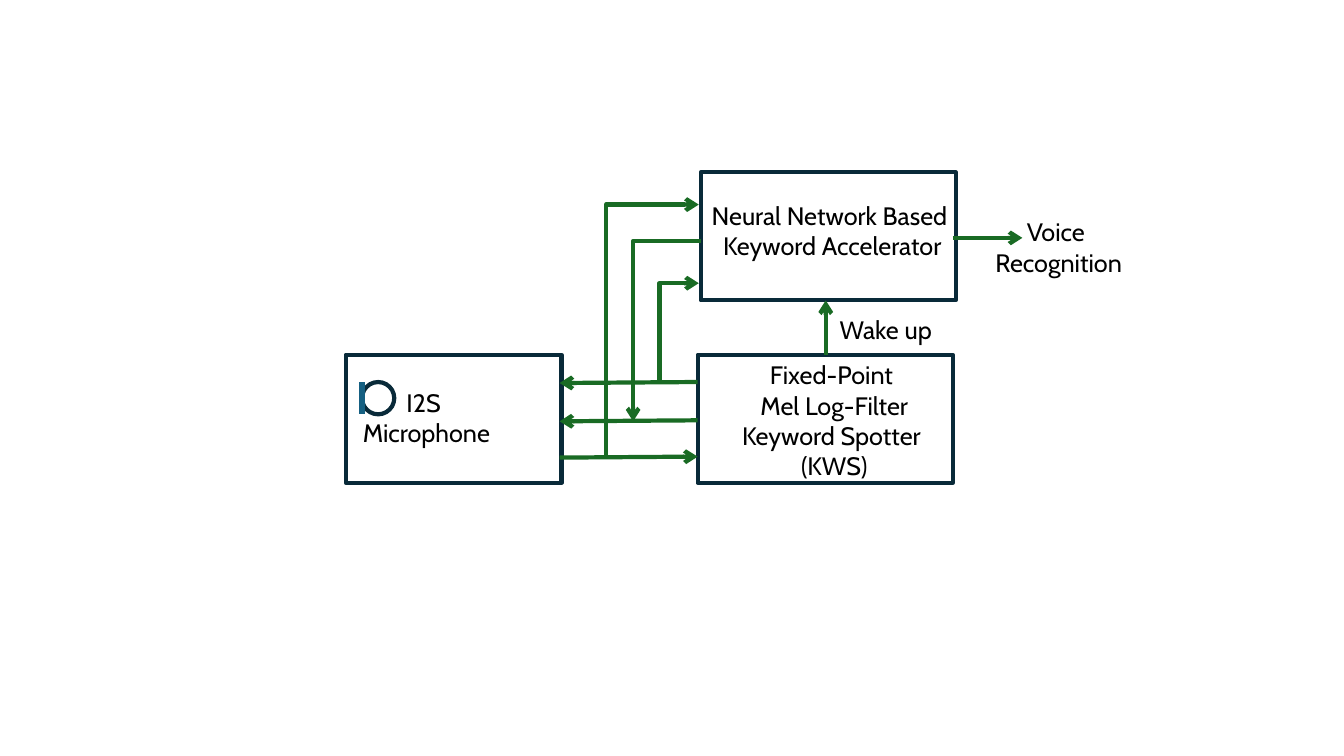
from lxml import etree
from pptx import Presentation
from pptx.dml.color import RGBColor
from pptx.enum import shapes, text
from pptx.oxml import ns
from pptx.util import Inches, Pt

NAVY = RGBColor(0x09, 0x2A, 0x39)
TEAL = RGBColor(0x15, 0x60, 0x82)
GREEN = RGBColor(0x19, 0x6B, 0x24)
BLACK = RGBColor(0, 0, 0)


class Diagram:
    font, size, weight = "Cabin", Pt(18), Pt(3)

    def __init__(self, slide):
        self.shapes = slide.shapes

    def outline(self, kind, x, y, w, h):
        sp = self.shapes.add_shape(kind, Inches(x), Inches(y), Inches(w), Inches(h))
        sp.shadow.inherit = False
        sp.fill.background()
        sp.line.color.rgb = NAVY
        sp.line.width = self.weight

    def label(self, lines, x, y, w, h, align=text.PP_ALIGN.CENTER):
        tf = self.shapes.add_textbox(Inches(x), Inches(y), Inches(w), Inches(h)).text_frame
        tf.word_wrap = False
        tf.auto_size = text.MSO_AUTO_SIZE.SHAPE_TO_FIT_TEXT
        for i, line in enumerate(lines):
            p = tf.paragraphs[0] if i == 0 else tf.add_paragraph()
            p.alignment = align
            r = p.add_run()
            r.text = line
            r.font.name, r.font.size = self.font, self.size
            r.font.color.rgb = BLACK

    def line(self, start, end, arrow=None, color=GREEN, weight=None,
             kind=shapes.MSO_CONNECTOR.STRAIGHT):
        """Connect two points; arrow is "headEnd" (at start) or "tailEnd" (at end)."""
        c = self.shapes.add_connector(kind, *map(Inches, start + end))
        c.line.color.rgb = color
        c.line.width = weight or self.weight
        if arrow:
            ln = c.line._get_or_add_ln()
            etree.SubElement(ln, ns.qn("a:" + arrow), type="arrow")
        etree.SubElement(c._element.spPr, ns.qn("a:effectLst"))
        return c

    def elbow(self, start, end, arrow):
        """Rise from start, then turn right to end: a quarter-turned elbow connector."""
        (x1, y1), (x2, y2) = start, end
        mid_x, mid_y = (x1 + x2) / 2, (y1 + y2) / 2
        half_w, half_h = (y1 - y2) / 2, (x2 - x1) / 2
        c = self.line((mid_x + half_w, mid_y + half_h), (mid_x - half_w, mid_y - half_h),
                      arrow, kind=shapes.MSO_CONNECTOR.ELBOW)
        spPr = c._element.spPr
        spPr.find(ns.qn("a:xfrm")).set("rot", str(90 * 60000))
        guides = spPr.find(ns.qn("a:prstGeom")).find(ns.qn("a:avLst"))
        etree.SubElement(guides, ns.qn("a:gd"), name="adj1", fmla="val 100000")


def main():
    prs = Presentation()
    prs.slide_width, prs.slide_height = Inches(13.33), Inches(7.5)
    d = Diagram(prs.slides.add_slide(prs.slide_layouts[6]))
    box, circle = shapes.MSO_SHAPE.RECTANGLE, shapes.MSO_SHAPE.OVAL

    # Microphone
    d.outline(box, 3.43, 3.52, 2.14, 1.27)
    d.label(["I2S ", "Microphone"], 3.48, 3.79, 1.5, 0.71)
    d.outline(circle, 3.59, 3.79, 0.32, 0.32)
    d.line((3.59, 3.79), (3.59, 4.11), color=TEAL, weight=Pt(4.5))

    # Keyword spotter
    d.outline(box, 6.92, 3.52, 2.53, 1.27)
    d.label(["Fixed-Point ", "Mel Log-Filter", "Keyword Spotter ", "(KWS)"],
            7.26, 3.52, 2.03, 1.31)

    # Accelerator
    d.outline(box, 6.95, 1.71, 2.53, 1.27)
    d.label(["Neural Network Based ", "Keyword Accelerator"], 6.91, 1.94, 2.69, 0.71)

    # Signals between microphone and spotter, each with a branch to the accelerator
    for y, arrow, branch, end, branch_arrow in [
        (3.8, "headEnd", 6.54, (6.93, 2.81), "tailEnd"),
        (4.18, "headEnd", 6.28, (6.95, 2.39), "headEnd"),
        (4.54, "tailEnd", 6.01, (6.93, 2.03), "tailEnd"),
    ]:
        d.line((5.55, y), (6.92, y - 0.01), arrow)
        d.elbow((branch, y), end, branch_arrow)

    d.line((8.19, 3.52), (8.19, 2.98), "tailEnd")
    d.label(["Wake up"], 8.23, 3.07, 1.13, 0.4, text.PP_ALIGN.LEFT)
    d.line((9.45, 2.36), (10.14, 2.36), "tailEnd")
    d.label(["Voice ", "Recognition"], 9.75, 2.1, 1.5, 0.71)

    prs.save("out.pptx")


if __name__ == "__main__":
    main()
